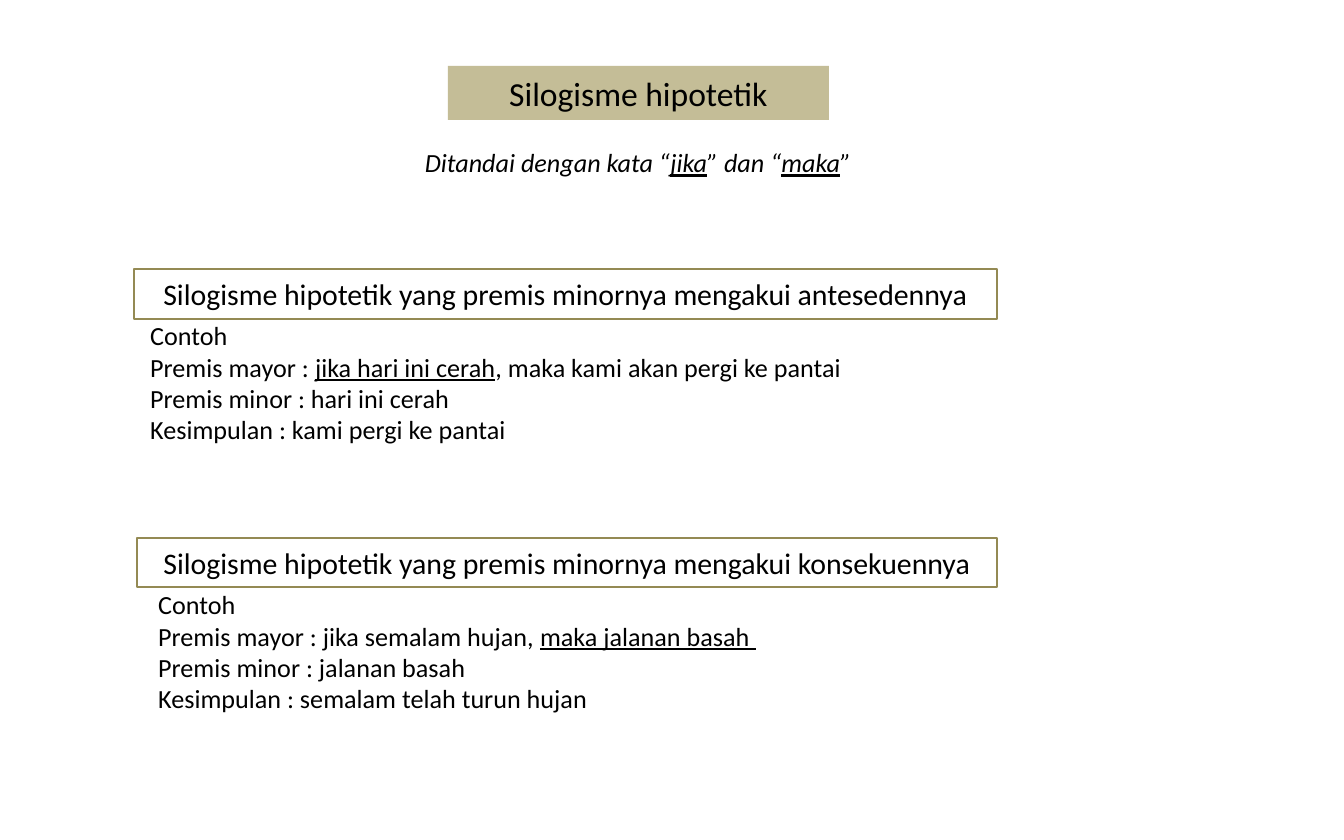
from pptx import Presentation
from pptx.dml.color import RGBColor
from pptx.enum.shapes import MSO_SHAPE as Shape
from pptx.enum.text import MSO_ANCHOR as Anchor, PP_ALIGN as Align
from pptx.util import Pt

BLACK = RGBColor(0x00, 0x00, 0x00)
SAND = RGBColor(0xC4, 0xBD, 0x97)
OLIVE = RGBColor(0x94, 0x8A, 0x54)
PX = 914400 / 134.4

TITLE = "Silogisme hipotetik"
SUBTITLE = [("Ditandai dengan kata “", False), ("jika", True),
            ("” dan “", False), ("maka", True), ("”", False)]
SECTIONS = [
    {
        "heading": "Silogisme hipotetik yang premis minornya mengakui antesedennya",
        "heading_at": (134, 269, 863, 50),
        "example": [
            [("Contoh", False)],
            [("Premis mayor : ", False), ("jika hari ini cerah", True),
             (", maka kami akan pergi ke pantai", False)],
            [("Premis minor : hari ini cerah", False)],
            [("Kesimpulan : kami pergi ke pantai", False)],
        ],
        "example_at": (137, 313, 759, 140),
    },
    {
        "heading": "Silogisme hipotetik yang premis minornya mengakui konsekuennya",
        "heading_at": (137, 538, 860, 49),
        "example": [
            [("Contoh", False)],
            [("Premis mayor : jika semalam hujan, ", False),
             ("maka jalanan basah ", True)],
            [("Premis minor : jalanan basah", False)],
            [("Kesimpulan : semalam telah turun hujan", False)],
        ],
        "example_at": (145, 582, 817, 140),
    },
]


def emu(lengths):
    return [round(length * PX) for length in lengths]


def write(box, lines, size, align=Align.LEFT, italic=False):
    frame = box.text_frame
    frame.word_wrap = True
    frame.vertical_anchor = Anchor.TOP
    for index, line in enumerate(lines):
        para = frame.add_paragraph() if index else frame.paragraphs[0]
        para.alignment = align
        for text, underlined in line:
            span = para.add_run()
            span.text = text
            font = span.font
            font.name, font.size = "Calibri", Pt(size)
            font.color.rgb = BLACK
            font.italic, font.underline = italic, underlined


def add_text(page, at, lines, size, **style):
    write(page.shapes.add_textbox(*emu(at)), lines, size, **style)


def add_banner(page, at, text, size, fill=None, line=None):
    banner = page.shapes.add_shape(Shape.RECTANGLE, *emu(at))
    banner.shadow.inherit = False
    if fill is None:
        banner.fill.background()
    else:
        banner.fill.solid()
        banner.fill.fore_color.rgb = fill
    if line is None:
        banner.line.fill.background()
    else:
        banner.line.color.rgb = line
        banner.line.width = Pt(0.75)
    write(banner, [[(text, False)]], size, Align.CENTER)


def main():
    deck = Presentation()
    deck.slide_width, deck.slide_height = emu((1344, 840))
    page = deck.slides.add_slide(deck.slide_layouts[6])
    add_banner(page, (448, 66, 381, 54), TITLE, 18, fill=SAND)
    for section in SECTIONS:
        add_banner(page, section["heading_at"], section["heading"], 16, line=OLIVE)
        add_text(page, section["example_at"], section["example"], 14)
    add_text(page, (341, 140, 594, 46), [SUBTITLE], 14,
             align=Align.CENTER, italic=True)
    deck.save("out.pptx")


if __name__ == "__main__":
    main()
